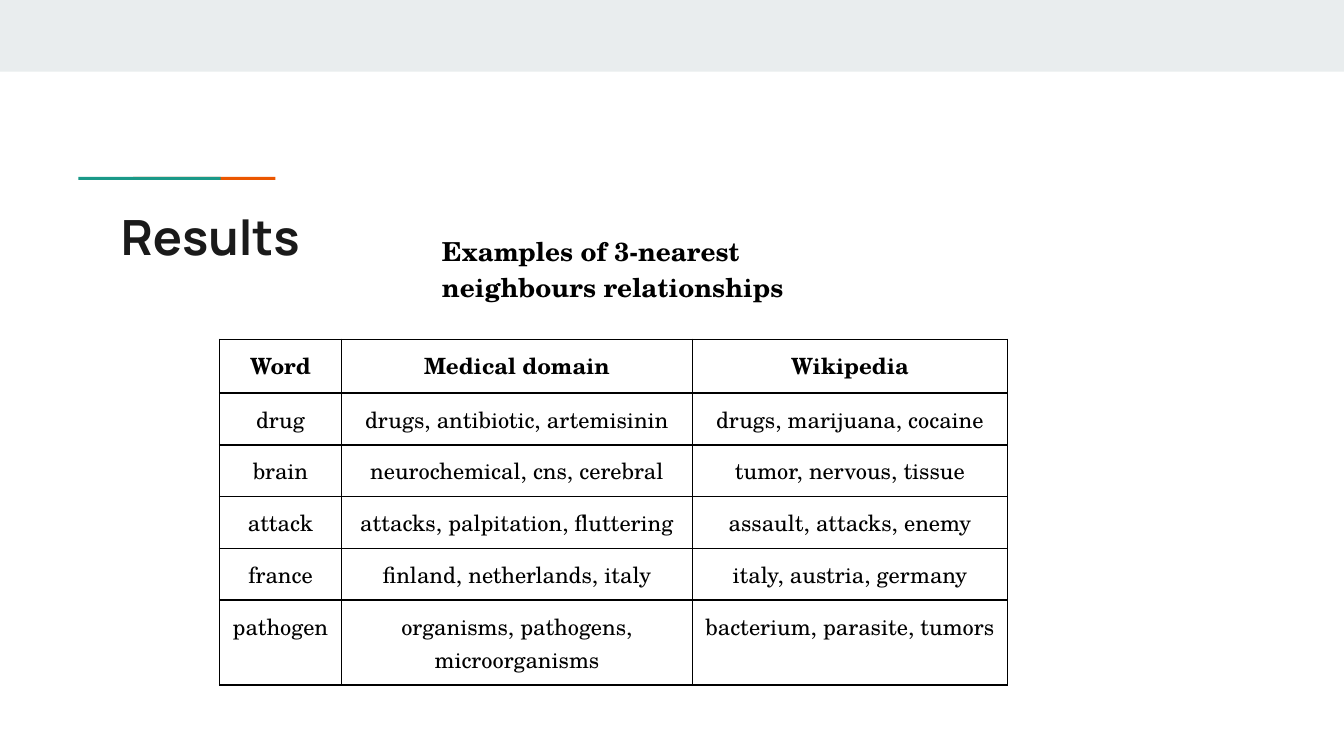
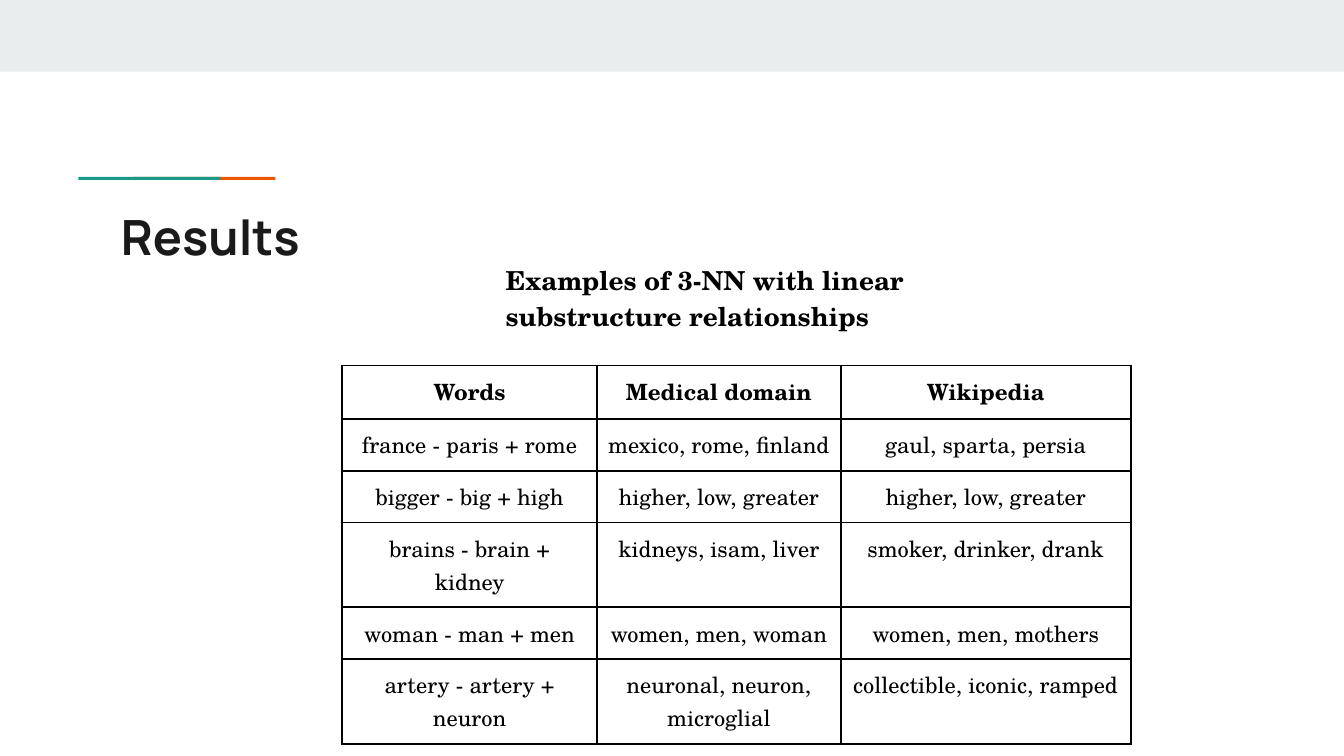
from dataclasses import dataclass

from lxml import etree
from pptx import Presentation
from pptx.dml.color import RGBColor
from pptx.enum.shapes import MSO_SHAPE
from pptx.enum.text import MSO_ANCHOR, PP_ALIGN
from pptx.oxml.ns import qn
from pptx.util import Inches, Pt

RECTANGLE = MSO_SHAPE.RECTANGLE
TOP, MIDDLE = MSO_ANCHOR.TOP, MSO_ANCHOR.MIDDLE
LEFT, CENTER = PP_ALIGN.LEFT, PP_ALIGN.CENTER

# Grid: 100 columns by 56.25 rows of square units
PAGE_COLUMNS, PAGE_ROWS = 100, 56.25
UNIT = Inches(10) / PAGE_COLUMNS

# Shared look
BAND, TEAL, ORANGE = "E9EDEE", "1A9988", "EB5600"
INK, BLACK = "1A1A1A", "000000"
TITLE_FONT, BODY_FONT = "Manrope", "TeX Gyre Schola"
HEADER_ROW, LINE_ROW, WRAPPED_ROW = 4, 3.84, 6.28
TEXT_INSET, CELL_INSET = 1, 0.7


@dataclass(frozen=True)
class Area:
    left: float
    top: float
    width: float
    height: float

    def lengths(self) -> tuple[int, ...]:
        return tuple(units(n) for n in (self.left, self.top, self.width, self.height))


@dataclass(frozen=True)
class Block:
    area: Area
    color: str


@dataclass(frozen=True)
class ResultPage:
    caption: str
    caption_area: Area
    table_left: float
    table_top: float
    column_widths: tuple[float, ...]
    wrapped_rows: tuple[int, ...]
    cells: tuple[tuple[str, ...], ...]


TITLE_AREA = Area(8, 14.4, 84.1, 5.9)
# The teal bar overlaps the orange one
DECORATION = (
    Block(Area(0, 0, PAGE_COLUMNS, 5.33), BAND),
    Block(Area(9.9, 13.17, 10.6, 0.22), ORANGE),
    Block(Area(5.83, 13.17, 10.6, 0.22), TEAL),
)

PAGES = (
    ResultPage(
        caption="Examples of 3-nearest neighbours relationships",
        caption_area=Area(31.9, 14.4, 32.8, 10.9),
        table_left=16.34,
        table_top=25.25,
        column_widths=(9.07, 26.13, 23.43),
        wrapped_rows=(5,),
        cells=(
            ("Word", "Medical domain", "Wikipedia"),
            ("drug", "drugs, antibiotic, artemisinin", "drugs, marijuana, cocaine"),
            ("brain", "neurochemical, cns, cerebral", "tumor, nervous, tissue"),
            ("attack", "attacks, palpitation, fluttering", "assault, attacks, enemy"),
            ("france", "finland, netherlands, italy", "italy, austria, germany"),
            ("pathogen", "organisms, pathogens, microorganisms",
             "bacterium, parasite, tumors"),
        ),
    ),
    ResultPage(
        caption="Examples of 3-NN with linear substructure relationships",
        caption_area=Area(36.63, 15.84, 32.8, 12.3),
        table_left=25.46,
        table_top=27.18,
        column_widths=(18.97, 18.13, 21.58),
        wrapped_rows=(3, 5),
        cells=(
            ("Words", "Medical domain", "Wikipedia"),
            ("france - paris + rome", "mexico, rome, finland", "gaul, sparta, persia"),
            ("bigger - big + high", "higher, low, greater", "higher, low, greater"),
            ("brains - brain + kidney", "kidneys, isam, liver", "smoker, drinker, drank"),
            ("woman - man + men", "women, men, woman", "women, men, mothers"),
            ("artery - artery + neuron", "neuronal, neuron, microglial",
             "collectible, iconic, ramped"),
        ),
    ),
)


def units(count: float) -> int:
    return round(count * UNIT)


def rgb(color: str) -> RGBColor:
    return RGBColor.from_string(color)


def write(frame, text: str, *, size: float, font: str = BODY_FONT, color: str = BLACK,
          bold: bool = False, align=LEFT, spacing: float = 1, after: float = 0) -> None:
    """Put one formatted paragraph into a text frame."""
    para = frame.paragraphs[0]
    para.alignment = align
    para.line_spacing = spacing
    para.space_before, para.space_after = Pt(0), Pt(after)
    span = para.add_run()
    span.text = text
    span.font.name, span.font.size, span.font.bold = font, Pt(size), bold
    span.font.color.rgb = rgb(color)


def set_insets(holder, inset: float) -> None:
    """Give a text frame or a cell the same margin on all sides."""
    holder.margin_left = holder.margin_right = units(inset)
    holder.margin_top = holder.margin_bottom = units(inset)


def prepare(frame, anchor) -> None:
    frame.word_wrap = True
    frame.vertical_anchor = anchor
    set_insets(frame, TEXT_INSET)


def draw_block(page, block: Block) -> None:
    shape = page.shapes.add_shape(RECTANGLE, *block.area.lengths())
    shape.shadow.inherit = False
    shape.fill.solid()
    shape.fill.fore_color.rgb = rgb(block.color)
    shape.line.fill.background()


def draw_title(page, text: str) -> None:
    title = page.shapes.title
    title.left, title.top, title.width, title.height = TITLE_AREA.lengths()
    prepare(title.text_frame, TOP)
    write(title.text_frame, text, size=26, font=TITLE_FONT, color=INK, bold=True)


def draw_caption(page, text: str, area: Area) -> None:
    box = page.shapes.add_textbox(*area.lengths())
    prepare(box.text_frame, MIDDLE)
    write(box.text_frame, text, size=14, bold=True, spacing=1.15, after=10)


def add_borders(cell, color: str = BLACK, width: float = 1) -> None:
    properties = cell._tc.get_or_add_tcPr()
    for position, side in enumerate(("a:lnL", "a:lnR", "a:lnT", "a:lnB")):
        line = etree.Element(qn(side), w=str(Pt(width)))
        fill = etree.SubElement(line, qn("a:solidFill"))
        etree.SubElement(fill, qn("a:srgbClr"), val=color)
        properties.insert(position, line)


def row_height(index: int, wrapped_rows: tuple[int, ...]) -> float:
    if index == 0:
        return HEADER_ROW
    return WRAPPED_ROW if index in wrapped_rows else LINE_ROW


def draw_table(page, result: ResultPage) -> None:
    heights = [row_height(i, result.wrapped_rows) for i in range(len(result.cells))]
    area = Area(result.table_left, result.table_top,
                sum(result.column_widths), sum(heights))
    table = page.shapes.add_table(
        len(heights), len(result.column_widths), *area.lengths()).table
    table.first_row = table.horz_banding = False
    for column, width in zip(table.columns, result.column_widths):
        column.width = units(width)
    for index, (row, height) in enumerate(zip(table.rows, heights)):
        row.height = units(height)
        for cell, text in zip(row.cells, result.cells[index]):
            cell.fill.background()
            set_insets(cell, CELL_INSET)
            add_borders(cell)
            write(cell.text_frame, text, size=12, bold=index == 0, align=CENTER)


def main() -> None:
    deck = Presentation()
    deck.slide_width, deck.slide_height = units(PAGE_COLUMNS), units(PAGE_ROWS)
    title_only = deck.slide_layouts[5]
    for result in PAGES:
        page = deck.slides.add_slide(title_only)
        for block in DECORATION:
            draw_block(page, block)
        draw_title(page, "Results")
        draw_table(page, result)
        draw_caption(page, result.caption, result.caption_area)
    deck.save("out.pptx")


if __name__ == "__main__":
    main()
